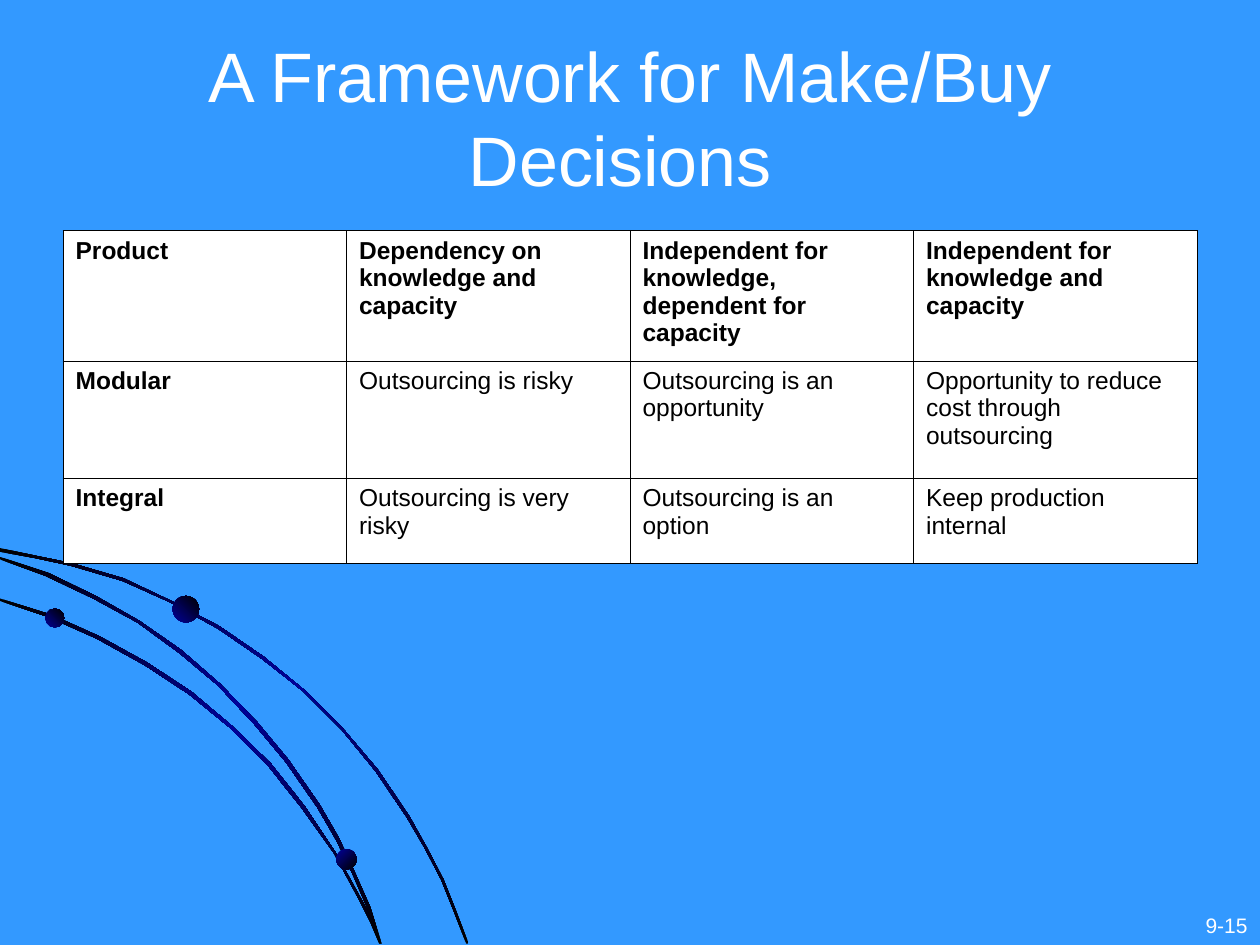
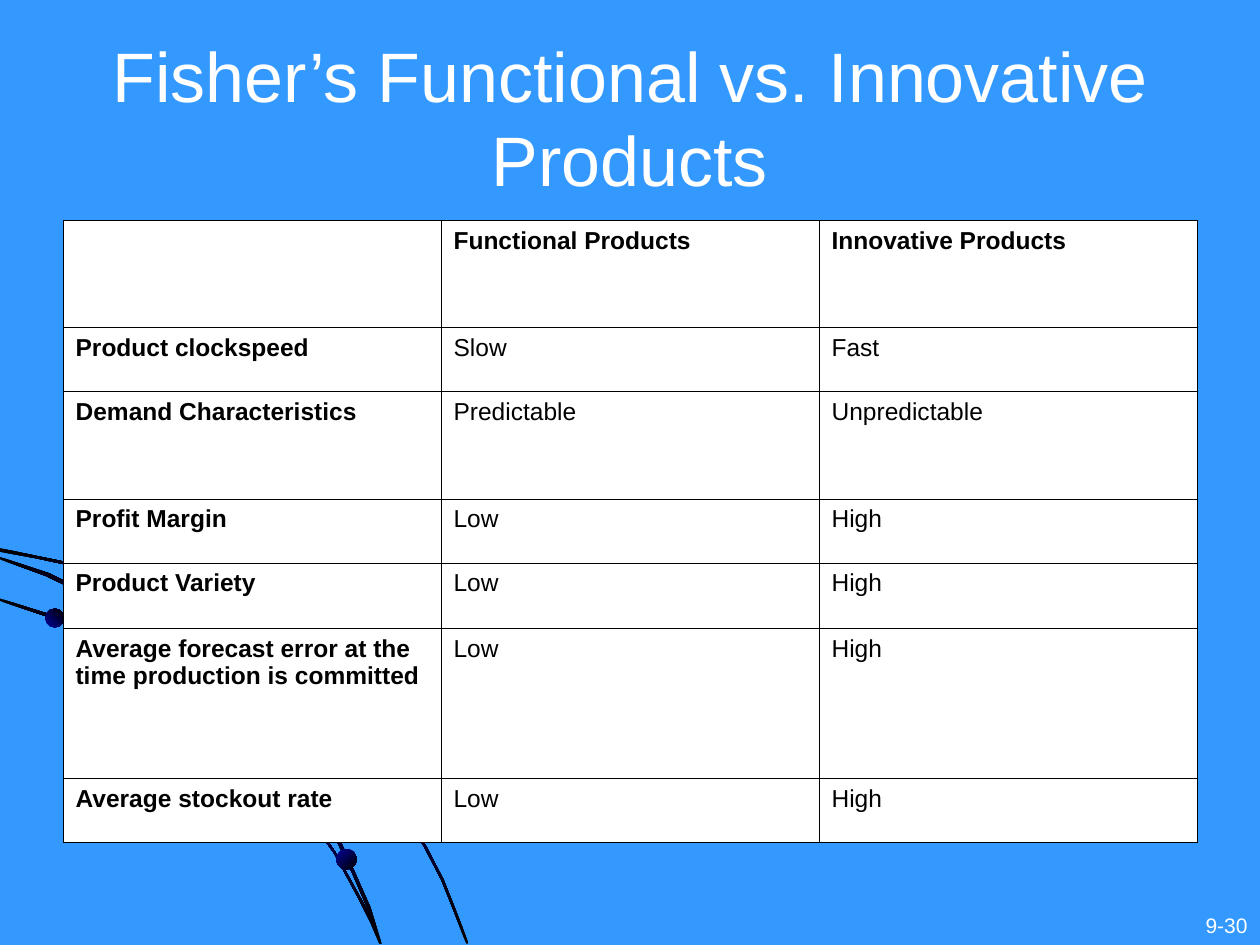
from dataclasses import dataclass

from pptx import Presentation
from pptx.dml.color import RGBColor
from pptx.enum.shapes import MSO_SHAPE
from pptx.enum.text import MSO_ANCHOR, PP_ALIGN
from pptx.oxml import parse_xml
from pptx.oxml.ns import nsdecls
from pptx.util import Inches, Pt

SKY = RGBColor(0x33, 0x99, 0xFF)
NAVY = RGBColor(0x01, 0x01, 0x99)
BLACK = RGBColor(0, 0, 0)
WHITE = RGBColor(0xFF, 0xFF, 0xFF)
FONT = "Arial"
LEFT = 0.5
WIDTH = 9
EDGE = Pt(0.45)


@dataclass
class Dot:
    """A ball that sits on an arc."""
    left: float
    top: float
    size: float
    angle: int


@dataclass
class Page:
    """The content of one slide."""
    title: str
    number: str
    top: float
    heights: list[float]
    rows: list[list[str]]


ARCS = [
    [(0.57, 4.47), (0.28, 4.41), (0, 4.35), (0, 4.38), (0.28, 4.43),
     (0.56, 4.49), (0.97, 4.61), (1.35, 4.78), (1.73, 4.99), (2.08, 5.23),
     (2.41, 5.49), (2.71, 5.79), (2.98, 6.12), (3.23, 6.49), (3.37, 6.73),
     (3.5, 6.98), (3.6, 7.23), (3.7, 7.49), (3.72, 7.49), (3.62, 7.23),
     (3.52, 6.98), (3.39, 6.73), (3.25, 6.48), (3, 6.11), (2.72, 5.78),
     (2.42, 5.48), (2.09, 5.21), (1.74, 4.97), (1.36, 4.77), (0.98, 4.59)],
    [(2.85, 7.14), (2.94, 7.32), (3.01, 7.49), (3.03, 7.49), (2.96, 7.3),
     (2.86, 7.12), (2.66, 6.76), (2.42, 6.4), (2.15, 6.06), (1.84, 5.76),
     (1.52, 5.49), (1.17, 5.26), (0.79, 5.05), (0.41, 4.88), (0, 4.75),
     (0, 4.77), (0.39, 4.9), (0.77, 5.07), (1.15, 5.28), (1.5, 5.51),
     (1.83, 5.78), (2.13, 6.08), (2.4, 6.42), (2.65, 6.77)],
    [(0, 4.42), (0, 4.44), (0.36, 4.57), (0.74, 4.75), (1.09, 4.94),
     (1.42, 5.18), (1.73, 5.44), (2.02, 5.75), (2.27, 6.05), (2.52, 6.41),
     (2.67, 6.67), (2.8, 6.94), (2.92, 7.22), (3.01, 7.49), (3.03, 7.49),
     (2.94, 7.2), (2.82, 6.93), (2.69, 6.65), (2.54, 6.39), (2.29, 6.03),
     (2.04, 5.73), (1.75, 5.43), (1.44, 5.16), (1.11, 4.93), (0.76, 4.73),
     (0.39, 4.55)],
]

DOTS = [
    Dot(0.36, 4.83, 0.15, 315),
    Dot(2.67, 6.74, 0.16, 45),
    Dot(1.37, 4.73, 0.21, 315),
]

PAGES = [
    Page("A Framework for Make/Buy Decisions ", "9-15", 1.83,
         [1.03, 0.93, 0.68], [
             ["Product", "Dependency on knowledge and capacity",
              "Independent for knowledge, dependent for capacity",
              "Independent for knowledge and capacity"],
             ["Modular", "Outsourcing is risky",
              "Outsourcing is an opportunity",
              "Opportunity to reduce cost through outsourcing"],
             ["Integral", "Outsourcing is very risky",
              "Outsourcing is an option", "Keep production internal"],
         ]),
    Page("Fisher’s Functional vs. Innovative Products", "9-30", 1.75,
         [0.85, 0.51, 0.85, 0.51, 0.52, 1.19, 0.51], [
             ["", "Functional Products", "Innovative Products"],
             ["Product clockspeed", "Slow", "Fast"],
             ["Demand Characteristics", "Predictable", "Unpredictable"],
             ["Profit Margin", "Low", "High"],
             ["Product Variety", "Low", "High"],
             ["Average forecast error at the time production is committed",
              "Low", "High"],
             ["Average stockout rate", "Low", "High"],
         ]),
]


def write(frame, text: str, *, size: float, color: RGBColor,
          bold: bool = False, align=PP_ALIGN.LEFT,
          anchor=MSO_ANCHOR.TOP) -> None:
    """Put formatted text in a text frame."""
    frame.word_wrap = True
    frame.vertical_anchor = anchor
    para = frame.paragraphs[0]
    para.alignment = align
    run = para.add_run()
    run.text = text
    font = run.font
    font.name, font.size, font.bold = FONT, Pt(size), bold
    font.color.rgb = color


def add_text(slide, box: tuple, text: str, **style) -> None:
    """Add a text box at left, top, width, height in inches."""
    frame = slide.shapes.add_textbox(*map(Inches, box)).text_frame
    write(frame, text, color=WHITE, **style)


def shade(shape, colors: list[RGBColor], angle: int) -> None:
    """Fill a shape with evenly spaced gradient colours and no outline."""
    step = 100000 // (len(colors) - 1)
    stops = "".join(
        f'<a:gs pos="{i * step}"><a:srgbClr val="{color}"/></a:gs>'
        for i, color in enumerate(colors))
    grad = parse_xml(
        f'<a:gradFill {nsdecls("a")} rotWithShape="1">'
        f'<a:gsLst>{stops}</a:gsLst>'
        f'<a:lin ang="{angle * 60000}" scaled="1"/></a:gradFill>')
    shape._element.spPr.insert(2, grad)
    shape.line.fill.background()
    shape.shadow.inherit = False


def add_arcs(slide) -> None:
    """Draw the arcs and their balls in the lower left corner."""
    for arc in ARCS:
        first, *rest = [(Inches(x), Inches(y)) for x, y in arc]
        path = slide.shapes.build_freeform(*first)
        path.add_line_segments(rest, close=True)
        shade(path.convert_to_shape(), [BLACK, NAVY, BLACK], 45)
    for dot in DOTS:
        box = map(Inches, (dot.left, dot.top, dot.size, dot.size))
        ball = slide.shapes.add_shape(MSO_SHAPE.OVAL, *box)
        shade(ball, [NAVY, BLACK], dot.angle)


def frame_cell(cell) -> None:
    """Give a cell a white fill and thin black borders."""
    cell.fill.solid()
    cell.fill.fore_color.rgb = WHITE
    props = cell._tc.get_or_add_tcPr()
    for i, side in enumerate("LRTB"):
        props.insert(i, parse_xml(
            f'<a:ln{side} {nsdecls("a")} w="{EDGE}"><a:solidFill>'
            f'<a:srgbClr val="{BLACK}"/></a:solidFill></a:ln{side}>'))


def add_grid(slide, page: Page) -> None:
    """Add the table with bold first row and column."""
    count = len(page.rows[0])
    table = slide.shapes.add_table(
        len(page.rows), count, Inches(LEFT), Inches(page.top),
        Inches(WIDTH), Inches(sum(page.heights))).table
    table.first_row = table.horz_banding = False
    for col in table.columns:
        col.width = Inches(WIDTH / count)
    for r, (tall, texts) in enumerate(zip(page.heights, page.rows)):
        table.rows[r].height = Inches(tall)
        for c, text in enumerate(texts):
            cell = table.cell(r, c)
            frame_cell(cell)
            if text:
                write(cell.text_frame, text, size=14, color=BLACK,
                      bold=r == 0 or c == 0)


def add_page(deck, page: Page) -> None:
    """Add one whole slide."""
    slide = deck.slides.add_slide(deck.slide_layouts[6])
    slide.background.fill.solid()
    slide.background.fill.fore_color.rgb = SKY
    add_arcs(slide)
    add_text(slide, (9.37, 7.19, 0.63, 0.3), page.number, size=12,
             align=PP_ALIGN.RIGHT)
    add_text(slide, (LEFT, 0.3, WIDTH, 1.25), page.title, size=40,
             align=PP_ALIGN.CENTER, anchor=MSO_ANCHOR.MIDDLE)
    add_grid(slide, page)


def main() -> None:
    """Build and save the deck."""
    deck = Presentation()
    deck.slide_width, deck.slide_height = Inches(10), Inches(7.5)
    for page in PAGES:
        add_page(deck, page)
    deck.save("out.pptx")


if __name__ == "__main__":
    main()
